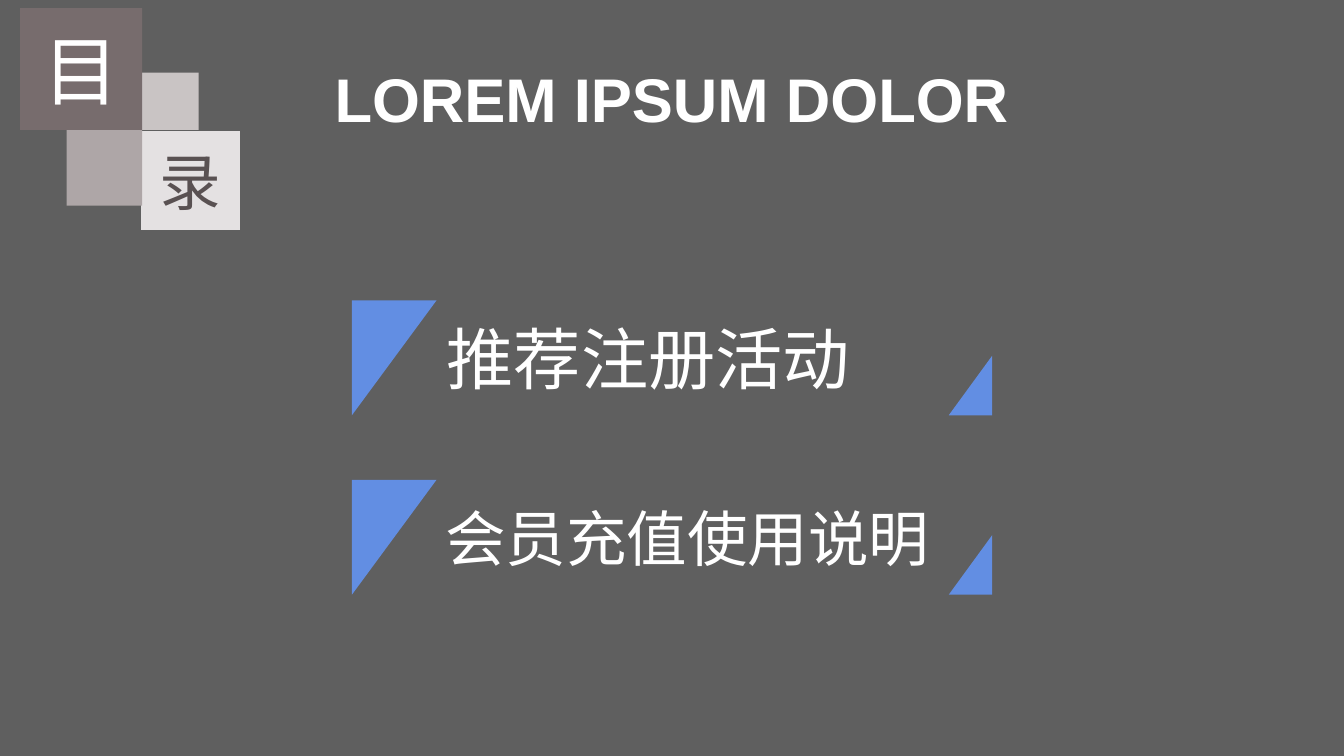
from dataclasses import dataclass
from typing import Optional

import pptx
import pptx.dml.color
import pptx.enum.shapes
import pptx.enum.text
import pptx.util

Inches = pptx.util.Inches
Pt = pptx.util.Pt
RGBColor = pptx.dml.color.RGBColor
PP_ALIGN = pptx.enum.text.PP_ALIGN

GREY = RGBColor(0x5F, 0x5F, 0x5F)
WHITE = RGBColor(0xFF, 0xFF, 0xFF)
BLUE = RGBColor(0x62, 0x8E, 0xE3)
PALE = RGBColor(0xE4, 0xE1, 0xE2)
ROSE = RGBColor(0xAE, 0xA6, 0xA7)
SILVER = RGBColor(0xC9, 0xC4, 0xC4)
MAUVE = RGBColor(0x77, 0x6C, 0x6D)
DARK = RGBColor(0x59, 0x51, 0x52)


@dataclass
class Label:
    text: str
    size: float
    color: RGBColor = WHITE
    bold: bool = False


@dataclass
class Square:
    left: float
    top: float
    side: float
    fill: RGBColor
    label: Optional[Label] = None


@dataclass
class Entry:
    top: float
    label: Label


ENTRIES = [
    Entry(2.98, Label(" 推荐注册活动", 48)),
    Entry(4.76, Label(" 会员充值使用说明", 43.2)),
]
SQUARES = [
    Square(1.4, 1.3, 0.98, PALE, Label("录", 44, DARK)),
    Square(0.66, 1.29, 0.75, ROSE),
    Square(1.4, 0.72, 0.57, SILVER),
    Square(0.2, 0.08, 1.21, MAUVE, Label("目", 54)),
]


def paint(sp, color: RGBColor) -> None:
    sp.shadow.inherit = False
    sp.fill.solid()
    sp.fill.fore_color.rgb = color
    sp.line.fill.background()


def write(sp, label: Label, align: PP_ALIGN, insets: tuple):
    tf = sp.text_frame
    tf.word_wrap = True
    tf.vertical_anchor = pptx.enum.text.MSO_ANCHOR.MIDDLE
    tf.margin_left, tf.margin_top, tf.margin_right, tf.margin_bottom = map(Inches, insets)
    p = tf.paragraphs[0]
    p.alignment = align
    r = p.add_run()
    r.text = label.text
    r.font.name = "Arial"
    r.font.size = Pt(label.size)
    r.font.bold = label.bold
    r.font.color.rgb = label.color
    return p


def add_square(s, square: Square) -> None:
    sp = s.shapes.add_shape(
        pptx.enum.shapes.MSO_SHAPE.RECTANGLE,
        Inches(square.left), Inches(square.top), Inches(square.side), Inches(square.side))
    paint(sp, square.fill)
    if square.label:
        write(sp, square.label, PP_ALIGN.CENTER, (0, 0, 0, 0))


def add_entry(s, entry: Entry) -> None:
    # One outline holds both corner triangles
    left, right = Inches(3.49), Inches(9.84)
    top, bottom = Inches(entry.top), Inches(entry.top + 1.14)
    fb = s.shapes.build_freeform(right, bottom - Inches(0.59))
    fb.add_line_segments([(right, bottom), (Inches(9.41), bottom)])
    fb.move_to(left, top)
    fb.add_line_segments([(Inches(4.33), top), (left, bottom)])
    sp = fb.convert_to_shape()
    paint(sp, BLUE)
    write(sp, entry.label, PP_ALIGN.LEFT, (0.79, 0.05, 0.2, 0.05))


def main() -> None:
    prs = pptx.Presentation()
    prs.slide_width, prs.slide_height = Inches(13.33), Inches(7.5)
    s = prs.slides.add_slide(prs.slide_layouts[6])
    s.background.fill.solid()
    s.background.fill.fore_color.rgb = GREY

    # Contents entries
    for entry in ENTRIES:
        add_entry(s, entry)

    # Title
    title = s.shapes.add_textbox(Inches(2.46), Inches(0.37), Inches(8.41), Inches(1.29))
    p = write(title, Label("LOREM IPSUM DOLOR", 44, bold=True),
              PP_ALIGN.CENTER, (0.1, 0.05, 0.1, 0.05))
    p.line_spacing = 0.9

    # Corner squares
    for square in SQUARES:
        add_square(s, square)

    prs.save("out.pptx")


if __name__ == "__main__":
    main()
